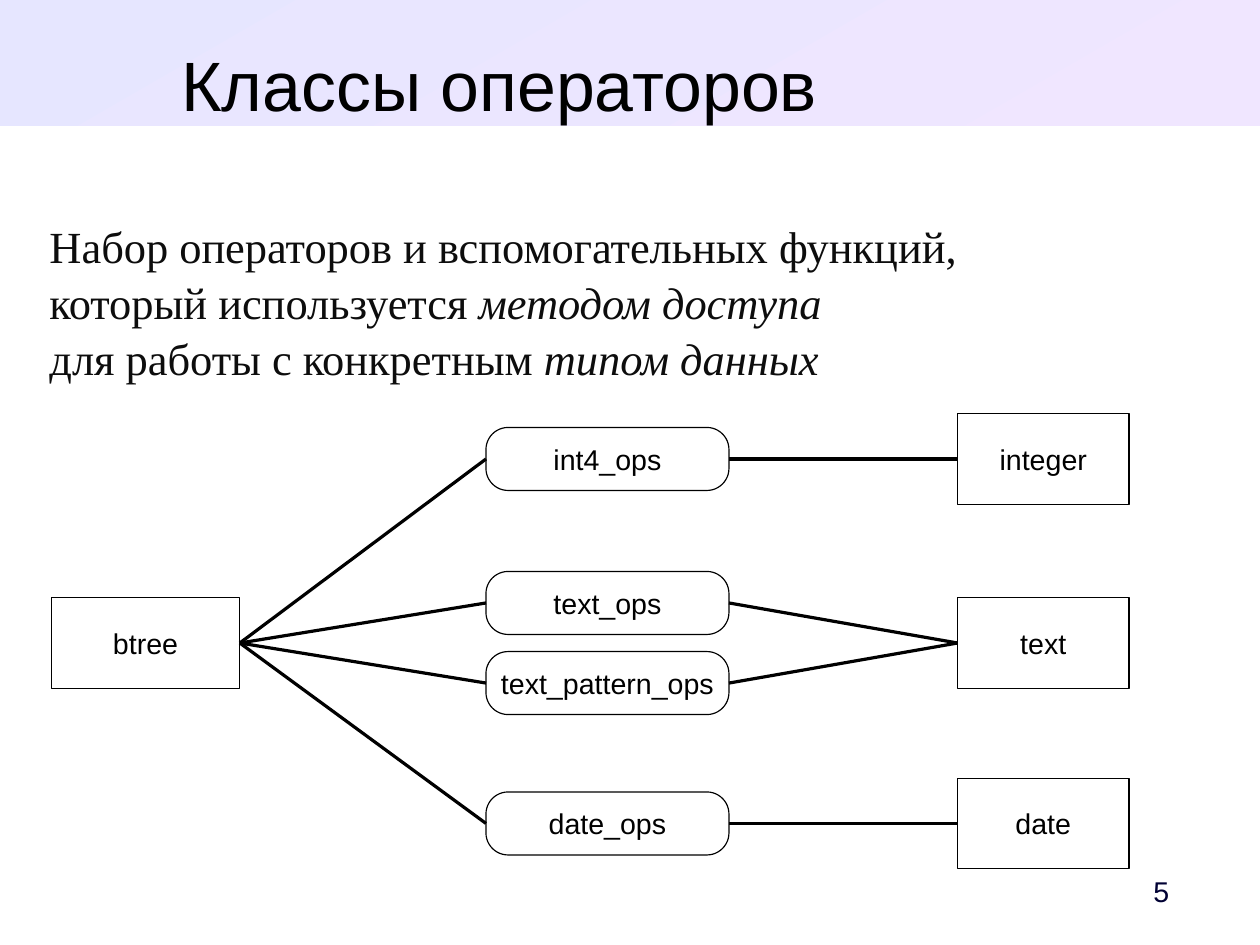
from lxml import etree
from pptx import Presentation
from pptx.dml.color import RGBColor
from pptx.enum.shapes import MSO_CONNECTOR, MSO_SHAPE
from pptx.enum.text import MSO_ANCHOR, MSO_AUTO_SIZE, PP_ALIGN
from pptx.oxml.ns import qn
from pptx.util import Cm, Pt

RECT, ROUND = MSO_SHAPE.RECTANGLE, MSO_SHAPE.ROUNDED_RECTANGLE
STRAIGHT = MSO_CONNECTOR.STRAIGHT
TOP, MIDDLE = MSO_ANCHOR.TOP, MSO_ANCHOR.MIDDLE
LEFT, CENTER = PP_ALIGN.LEFT, PP_ALIGN.CENTER
NO_FIT = MSO_AUTO_SIZE.NONE

LEFT_SITE, RIGHT_SITE = 1, 3
BLACK, WHITE = "000000", "FFFFFF"

# Data type -> operator classes with the height of their centres, in cm
TYPES = {
    "integer": {"int4_ops": 10.2},
    "text": {"text_ops": 13.4, "text_pattern_ops": 15.18},
    "date": {"date_ops": 18.3},
}
BODY = [
    ("Набор операторов и вспомогательных функций,\nкоторый используется ", False),
    ("методом доступа\n", True),
    ("для работы с конкретным ", False),
    ("типом данных", True),
]


def rgb(code):
    return RGBColor.from_string(code)


def write(shape, parts, size=18, font="Arial", color=BLACK, align=CENTER,
          anchor=MIDDLE, inset=(0.25, 0.13), wrap=False, spacing=None, after=0):
    """Fill a shape with one paragraph; parts is a string or (text, italic) pairs."""
    frame = shape.text_frame
    frame.auto_size = NO_FIT
    frame.word_wrap = wrap
    frame.vertical_anchor = anchor
    frame.margin_left = frame.margin_right = Cm(inset[0])
    frame.margin_top = frame.margin_bottom = Cm(inset[1])
    para = frame.paragraphs[0]
    para.alignment = align
    para.space_before, para.space_after = Pt(0), Pt(after)
    para.line_spacing = spacing
    if isinstance(parts, str):
        parts = [(parts, False)]
    for text, italic in parts:
        for row, piece in enumerate(text.split("\n")):
            if row:
                para.add_line_break()
            if piece:
                run = para.add_run()
                run.text = piece
                run.font.size, run.font.name = Pt(size), font
                run.font.italic = italic
                run.font.color.rgb = rgb(color)
    for gap in para._p.findall(qn("a:br")):
        etree.SubElement(gap, qn("a:rPr"), sz=str(size * 100))


def place(shape, x, y, w, h):
    shape.left, shape.top, shape.width, shape.height = Cm(x), Cm(y), Cm(w), Cm(h)


def plain(body):
    """Take the bullet and the hanging indent off the first paragraph."""
    props = body.text_frame.paragraphs[0]._p.get_or_add_pPr()
    props.set("marL", "0")
    props.set("indent", "0")
    etree.SubElement(props, qn("a:buNone"))


def add_band(slide):
    band = slide.shapes.add_shape(RECT, 0, 0, Cm(28), Cm(2.8))
    band.shadow.inherit = False
    band.line.fill.background()
    band.fill.gradient()
    band.fill.gradient_angle = 300
    for stop, code in zip(band.fill.gradient_stops, ("E6E6FF", "F0E6FF")):
        stop.color.rgb = rgb(code)
    slide.shapes._spTree.insert(2, band._element)


def add_node(slide, text, x, mid, w, h=2.01, kind=RECT):
    node = slide.shapes.add_shape(kind, Cm(x), Cm(mid - h / 2), Cm(w), Cm(h))
    node.shadow.inherit = False
    node.fill.solid()
    node.fill.fore_color.rgb = rgb(WHITE)
    node.line.color.rgb = rgb(BLACK)
    node.line.width = Pt(0)
    if kind == ROUND:
        node.adjustments[0] = 0.35
    write(node, text)
    return node


def link(slide, start, end):
    line = slide.shapes.add_connector(STRAIGHT, 0, 0, 0, 0)
    line.begin_connect(start, RIGHT_SITE)
    line.end_connect(end, LEFT_SITE)
    line.line.color.rgb = rgb(BLACK)
    line.line.width = Pt(0)
    etree.SubElement(line._element.spPr, qn("a:effectLst"))


def add_graph(slide):
    method = add_node(slide, "btree", 1.14, 14.29, 4.19)
    for name, group in TYPES.items():
        mid = sum(group.values()) / len(group)
        kind = add_node(slide, name, 21.28, mid, 3.81)
        for label, height in group.items():
            ops = add_node(slide, label, 10.8, height, 5.4, 1.4, ROUND)
            link(slide, method, ops)
            link(slide, ops, kind)


def main():
    deck = Presentation()
    deck.slide_width, deck.slide_height = Cm(28), Cm(21)
    slide = deck.slides.add_slide(deck.slide_layouts[1])
    title, body = slide.placeholders

    add_band(slide)
    place(title, 1.2, 0.74, 19.8, 1.75)
    write(title, "Классы операторов", size=44, anchor=TOP, inset=(0, 0),
          wrap=True, spacing=1.1)
    place(body, 1.1, 4.8, 25.6, 14.5)
    plain(body)
    write(body, BODY, size=28, font="Times New Roman", color="0D0D0D",
          align=LEFT, anchor=TOP, inset=(0, 0), wrap=True, spacing=1.05, after=14)
    add_graph(slide)

    number = slide.shapes.add_textbox(Cm(24.61), Cm(19.2), Cm(2.4), Cm(1.2))
    write(number, "5", color="000033")
    deck.save("out.pptx")


if __name__ == "__main__":
    main()
